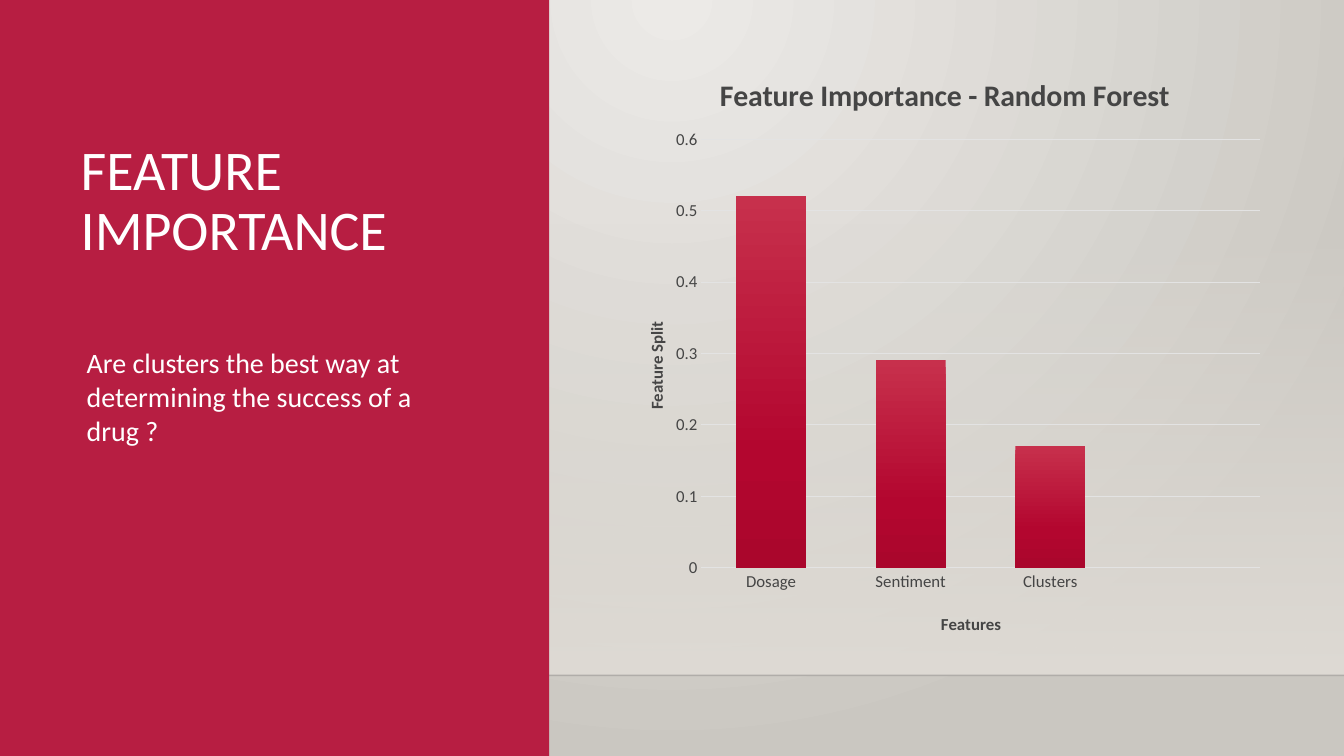
"""Build the feature importance slide: a red text panel beside a column chart."""
from dataclasses import dataclass

from lxml.etree import SubElement
from pptx import Presentation
from pptx.chart.data import CategoryChartData
from pptx.dml.color import RGBColor
from pptx.enum.chart import XL_CHART_TYPE as ChartType, XL_TICK_MARK as TickMark
from pptx.enum.shapes import MSO_CONNECTOR as Connector, MSO_SHAPE as Shape
from pptx.enum.text import MSO_ANCHOR as Anchor, MSO_AUTO_SIZE as AutoSize, PP_ALIGN as Align
from pptx.oxml.ns import qn
from pptx.util import Cm, Pt


@dataclass(frozen=True)
class Theme:
    font: str = "Calibri"
    panel: str = "B71E42"
    white: str = "FFFFFF"
    chart_text: str = "454545"
    grid: str = "E3E3E3"
    horizon: str = "000001"
    backdrop: tuple = ((0, "ECEAE7", 100), (100, "CAC7C1", 100))
    haze: tuple = ((0, "DFDBD5", 0), (100, "DFDBD5", 100))
    column: tuple = ((0, "C7304C", 100), (69, "B3062F", 100), (100, "AA062C", 100))
    title_size: float = 40
    body_size: float = 20
    chart_title_size: float = 21.3
    axis_size: float = 12


def set_gradient(fill, element, stops, radial=False):
    """Fill with (position, colour, opacity) stops, running down or out from the top."""
    fill.gradient()
    gradient = next(element.iter(qn("a:gradFill")))
    for child in list(gradient):
        gradient.remove(child)
    stop_list = SubElement(gradient, qn("a:gsLst"))
    for position, colour, opacity in stops:
        stop = SubElement(stop_list, qn("a:gs"), pos=str(position * 1000))
        rgb = SubElement(stop, qn("a:srgbClr"), val=colour)
        if opacity < 100:
            SubElement(rgb, qn("a:alpha"), val=str(opacity * 1000))
    if radial:
        path = SubElement(gradient, qn("a:path"), path="circle")
        SubElement(path, qn("a:fillToRect"), l="43000", t="0", r="43000", b="100000")
    else:
        SubElement(gradient, qn("a:lin"), ang="5400000", scaled="0")


def set_layout(element, index, **fractions):
    """Place a chart part by fractions of the chart's width and height."""
    for old_layout in element.findall(qn("c:layout")):
        element.remove(old_layout)
    layout = SubElement(element, qn("c:layout"))
    element.insert(index, layout)
    manual = SubElement(layout, qn("c:manualLayout"))
    if "w" in fractions:
        SubElement(manual, qn("c:layoutTarget"), val="inner")
    for mode in ("xMode", "yMode"):
        SubElement(manual, qn(f"c:{mode}"), val="edge")
    for name, value in fractions.items():
        SubElement(manual, qn(f"c:{name}"), val=str(value))


theme = Theme()
presentation = Presentation()
presentation.slide_width, presentation.slide_height = Cm(33.87), Cm(19.05)
slide = presentation.slides.add_slide(presentation.slide_layouts[1])
shapes = slide.shapes
set_gradient(slide.background.fill, slide.element, theme.backdrop, radial=True)

haze = shapes.add_shape(Shape.RECTANGLE, 0, Cm(5.61), Cm(33.87), Cm(11.41))
set_gradient(haze.fill, haze.element, theme.haze)

horizon = shapes.add_connector(Connector.STRAIGHT, 0, Cm(17.02), Cm(33.87), Cm(17.02))
horizon.line.color.rgb = RGBColor.from_string(theme.horizon)
horizon.line.width = Pt(1)
SubElement(next(horizon.element.iter(qn("a:srgbClr"))), qn("a:alpha"), val="20000")
SubElement(horizon.element.spPr, qn("a:effectLst"))

panel = shapes.add_shape(Shape.RECTANGLE, 0, 0, Cm(13.84), Cm(19.05))
panel.fill.solid()
panel.fill.fore_color.rgb = RGBColor.from_string(theme.panel)
for rectangle in (haze, panel):
    rectangle.line.fill.background()
    rectangle.shadow.inherit = False

texts = (
    (shapes.title, "FEATURE IMPORTANCE", theme.title_size, 0.9, Anchor.MIDDLE,
     (1.78, 3.43, 12.34, 3.33)),
    (slide.placeholders[1], "Are clusters the best way at determining the success of a drug ?",
     theme.body_size, 1, Anchor.TOP, (1.93, 8.59, 9.58, 2.82)),
)
for placeholder, text, size, spacing, anchor, box in texts:
    placeholder.left, placeholder.top, placeholder.width, placeholder.height = map(Cm, box)
    shapes.element.append(placeholder.element)
    frame = placeholder.text_frame
    frame.text = text
    frame.word_wrap = True
    frame.auto_size = AutoSize.SHAPE_TO_FIT_TEXT
    frame.vertical_anchor = anchor
    paragraph = frame.paragraphs[0]
    paragraph.alignment = Align.LEFT
    paragraph.line_spacing = spacing
    paragraph.space_before = Pt(0)
    properties = paragraph._p.get_or_add_pPr()
    properties.set("marL", "0")
    properties.set("indent", "0")
    SubElement(properties, qn("a:buNone"))
    font = paragraph.runs[0].font
    font.name, font.size = theme.font, Pt(size)
    font.color.rgb = RGBColor.from_string(theme.white)

chart_title = "Feature Importance - Random Forest"
chart_data = CategoryChartData()
chart_data.categories = ["Dosage", "Sentiment", "Clusters", ""]
chart_data.add_series(chart_title, (0.52, 0.29, 0.17, None))
chart = shapes.add_chart(ChartType.COLUMN_CLUSTERED, Cm(15.52), Cm(1.14),
                         Cm(16.56), Cm(15.29), chart_data).chart
chart.has_legend = False
chart.font.name, chart.font.size = theme.font, Pt(theme.axis_size)
chart.font.color.rgb = RGBColor.from_string(theme.chart_text)

plot = chart.plots[0]
plot.vary_by_categories = False
plot.gap_width, plot.overlap = 100, -24
series = plot.series[0]
set_gradient(series.format.fill, series._element, theme.column)
set_layout(next(chart.element.iter(qn("c:plotArea"))), 0, x=0.13, y=0.155, w=0.85, h=0.706)

category_axis, value_axis = chart.category_axis, chart.value_axis
value_axis.minimum_scale, value_axis.maximum_scale, value_axis.major_unit = 0, 0.6, 0.1
value_axis.tick_labels.number_format = "General"
value_axis.tick_labels.number_format_is_linked = False
value_axis.format.line.fill.background()
for line in (value_axis.major_gridlines.format.line, category_axis.format.line):
    line.color.rgb = RGBColor.from_string(theme.grid)
    line.width = Pt(0.75)
for axis in (category_axis, value_axis):
    axis.major_tick_mark = axis.minor_tick_mark = TickMark.NONE

titles = (
    (chart, chart_title, theme.chart_title_size, 0.15, 0.04),
    (category_axis, "Features", theme.axis_size, 0.49, 0.93),
    (value_axis, "Feature Split", theme.axis_size, 0.04, 0.45),
)
for owner, text, size, x, y in titles:
    title = owner.chart_title if owner is chart else owner.axis_title
    title.text_frame.text = text
    font = title.text_frame.paragraphs[0].runs[0].font
    font.name, font.size, font.bold = theme.font, Pt(size), True
    font.color.rgb = RGBColor.from_string(theme.chart_text)
    set_layout(title._element, 1, x=x, y=y)
value_axis.axis_title.text_frame._txBody.bodyPr.set("rot", "-5400000")

presentation.save("out.pptx")
